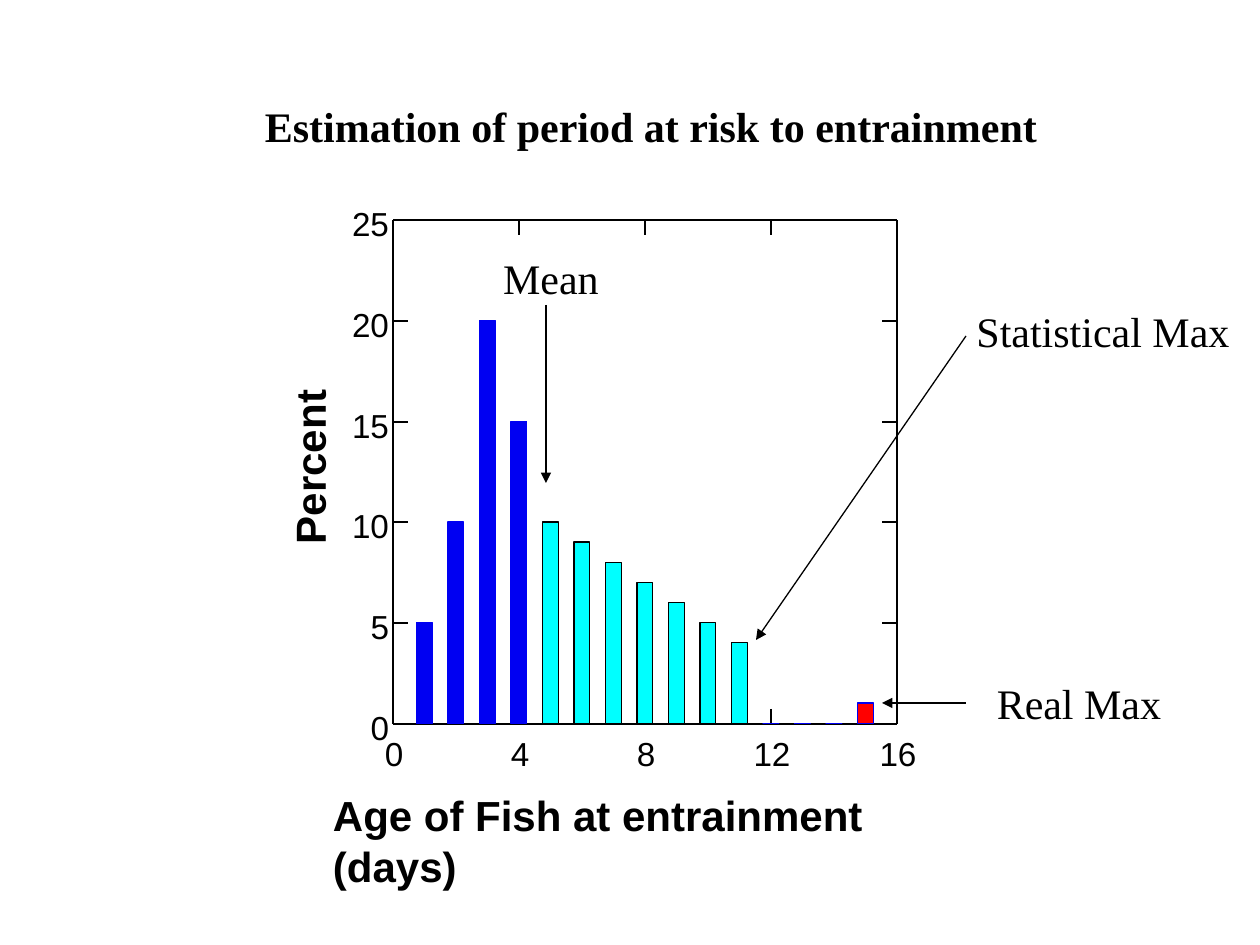
from dataclasses import dataclass

from pptx import Presentation
from pptx.chart.data import CategoryChartData as ChartData
from pptx.dml.color import RGBColor as Rgb
from pptx.enum.chart import XL_CHART_TYPE as ChartType
from pptx.enum.shapes import MSO_CONNECTOR as Connector
from pptx.enum.text import MSO_ANCHOR as Anchor, MSO_AUTO_SIZE as AutoSize
from pptx.enum.text import PP_ALIGN as Align
from pptx.oxml import parse_xml
from pptx.oxml.ns import nsdecls, qn
from pptx.util import Emu, Pt

SCALE = 914400 / 126  # EMU in one px


@dataclass(frozen=True)
class Theme:
    ink: Rgb = Rgb(0x00, 0x00, 0x00)
    early: Rgb = Rgb(0x00, 0x00, 0xF2)
    late: Rgb = Rgb(0x00, 0xFF, 0xFF)
    oldest: Rgb = Rgb(0xFF, 0x00, 0x00)
    serif: str = "Times New Roman"
    sans: str = "Arial"
    heading: int = 24
    tick: int = 19
    line: float = 0.75


THEME = Theme()

# Plot frame, in px and in data units
LEFT, TOP, RIGHT, BOTTOM = 393, 220, 897, 724
MAX_AGE, MAX_PERCENT = 16, 25
TICK = 15
PERCENT_BY_AGE = [5, 10, 20, 15, 10, 9, 8, 7, 6, 5, 4, 0, 0, 0, 1]
MEAN_AGE, STATISTICAL_MAX, REAL_MAX = 5, 11, 15


def px(length):
    return Emu(round(length * SCALE))


def age_x(age):
    return round(LEFT + (RIGHT - LEFT) * age / MAX_AGE)


def percent_y(percent):
    return round(BOTTOM - (BOTTOM - TOP) * percent / MAX_PERCENT)


def add_line(slide, start, end, arrow=False):
    line = slide.shapes.add_connector(Connector.STRAIGHT, *map(px, (*start, *end)))
    line.line.width = Pt(THEME.line)
    line.line.color.rgb = THEME.ink
    if arrow:
        line.line._get_or_add_ln().append(
            parse_xml(f'<a:tailEnd {nsdecls("a")} type="triangle"/>'))
    line._element.spPr.append(parse_xml(f'<a:effectLst {nsdecls("a")}/>'))


def add_text(slide, wording, box, font, size=THEME.heading, bold=False,
             align=Align.LEFT, inset=(0, 0), wrap=False, rotation=0):
    label = slide.shapes.add_textbox(*map(px, box))
    label.rotation = rotation
    side, end = map(px, inset)
    frame_format = {
        "margin_left": side, "margin_right": side,
        "margin_top": end, "margin_bottom": end,
        "word_wrap": wrap, "vertical_anchor": Anchor.TOP,
        "auto_size": AutoSize.SHAPE_TO_FIT_TEXT,
    }
    for name, value in frame_format.items():
        setattr(label.text_frame, name, value)
    paragraph = label.text_frame.paragraphs[0]
    paragraph.alignment = align
    run = paragraph.add_run()
    run.text = wording
    for name, value in {"name": font, "size": Pt(size), "bold": bold}.items():
        setattr(run.font, name, value)
    run.font.color.rgb = THEME.ink


def add_frame(slide):
    # Four sides
    corners = [(LEFT, BOTTOM), (RIGHT, BOTTOM), (RIGHT, TOP), (LEFT, TOP)]
    for start, end in zip(corners, corners[1:] + corners[:1]):
        add_line(slide, start, end)

    # Age ticks and labels
    for age in range(0, MAX_AGE + 1, 4):
        x = age_x(age)
        for edge, inner in ((BOTTOM, BOTTOM - TICK), (TOP, TOP + TICK)):
            add_line(slide, (x, inner), (x, edge))
        width = 19 * len(str(age))
        add_text(slide, str(age), (x + 1 - width / 2, 733, width, 40),
                 THEME.sans, THEME.tick, align=Align.CENTER)

    # Percent ticks and labels
    for percent in range(0, MAX_PERCENT + 1, 5):
        y = percent_y(percent)
        for edge, inner in ((LEFT, LEFT + TICK), (RIGHT, RIGHT - TICK)):
            add_line(slide, (inner, y), (edge, y))
        width = 19 * len(str(percent))
        add_text(slide, str(percent), (389 - width, y - 17, width, 40),
                 THEME.sans, THEME.tick, align=Align.RIGHT)


def bar_colours(age):
    if age == REAL_MAX:
        return THEME.oldest, THEME.early
    if MEAN_AGE <= age <= STATISTICAL_MAX:
        return THEME.late, THEME.ink
    return THEME.early, THEME.early


def place_plot(chart):
    # One category per year of the age scale, so bars centre on their ages
    plot_area = chart._chartSpace.chart.plotArea
    for layout in plot_area.findall(qn("c:layout")):
        plot_area.remove(layout)
    sizes = {"x": 0.5 / MAX_AGE, "y": 0,
             "w": len(PERCENT_BY_AGE) / MAX_AGE, "h": 1}
    places = "".join(f'<c:{key} val="{value}"/>' for key, value in sizes.items())
    plot_area.insert(0, parse_xml(
        f'<c:layout {nsdecls("c")}><c:manualLayout><c:layoutTarget val="inner"/>'
        f'<c:xMode val="edge"/><c:yMode val="edge"/>{places}'
        f'</c:manualLayout></c:layout>'))
    clear = (f'<c:spPr {nsdecls("c", "a")}><a:noFill/>'
             f'<a:ln><a:noFill/></a:ln></c:spPr>')
    plot_area.append(parse_xml(clear))
    chart._chartSpace.chart.addnext(parse_xml(clear))


def add_bars(slide):
    ages = ChartData()
    ages.categories = [str(age) for age in range(1, len(PERCENT_BY_AGE) + 1)]
    ages.add_series("Percent", PERCENT_BY_AGE)
    chart = slide.shapes.add_chart(
        ChartType.COLUMN_CLUSTERED,
        *map(px, (LEFT, TOP, RIGHT - LEFT, BOTTOM - TOP)), ages).chart
    chart.has_legend = chart.has_title = False
    chart.font.name, chart.font.size = THEME.sans, Pt(THEME.tick)
    chart.font.color.rgb = THEME.ink

    axis_format = {"minimum_scale": 0, "maximum_scale": MAX_PERCENT,
                   "major_unit": 5, "has_major_gridlines": False}
    for name, value in axis_format.items():
        setattr(chart.value_axis, name, value)
    chart.value_axis.visible = chart.category_axis.visible = False

    bars = chart.plots[0]
    bars.gap_width, bars.vary_by_categories = 100, False
    for index in range(len(PERCENT_BY_AGE)):
        bar = bars.series[0].points[index].format
        fill, outline = bar_colours(index + 1)
        bar.fill.solid()
        bar.fill.fore_color.rgb = fill
        bar.line.color.rgb = outline
        bar.line.width = Pt(THEME.line)
    place_plot(chart)


def main():
    deck = Presentation()
    deck.slide_width, deck.slide_height = px(1260), px(945)
    slide = deck.slides.add_slide(deck.slide_layouts[6])

    add_frame(slide)
    add_bars(slide)

    # Axis titles
    add_text(slide, "Age of Fish at entrainment (days)", (333, 790, 640, 102),
             THEME.sans, bold=True, wrap=True)
    add_text(slide, "Percent", (227, 442, 164, 50), THEME.sans, bold=True,
             align=Align.CENTER, rotation=270)

    # Heading and callouts
    serif_labels = [
        ("Estimation of period at risk to entrainment", (250, 95, 802, 62), True),
        ("Mean", (488, 247, 126, 62), False),
        ("Statistical Max", (962, 300, 282, 62), False),
        ("Real Max", (982, 672, 194, 62), False),
    ]
    for wording, box, bold in serif_labels:
        add_text(slide, wording, box, THEME.serif, bold=bold,
                 align=Align.CENTER, inset=(13, 6))

    # Arrows from callouts to bars
    for start, end in [((546, 305), (546, 483)), ((966, 336), (756, 640)),
                       ((966, 703), (882, 703))]:
        add_line(slide, start, end, arrow=True)

    deck.save("out.pptx")


if __name__ == "__main__":
    main()
